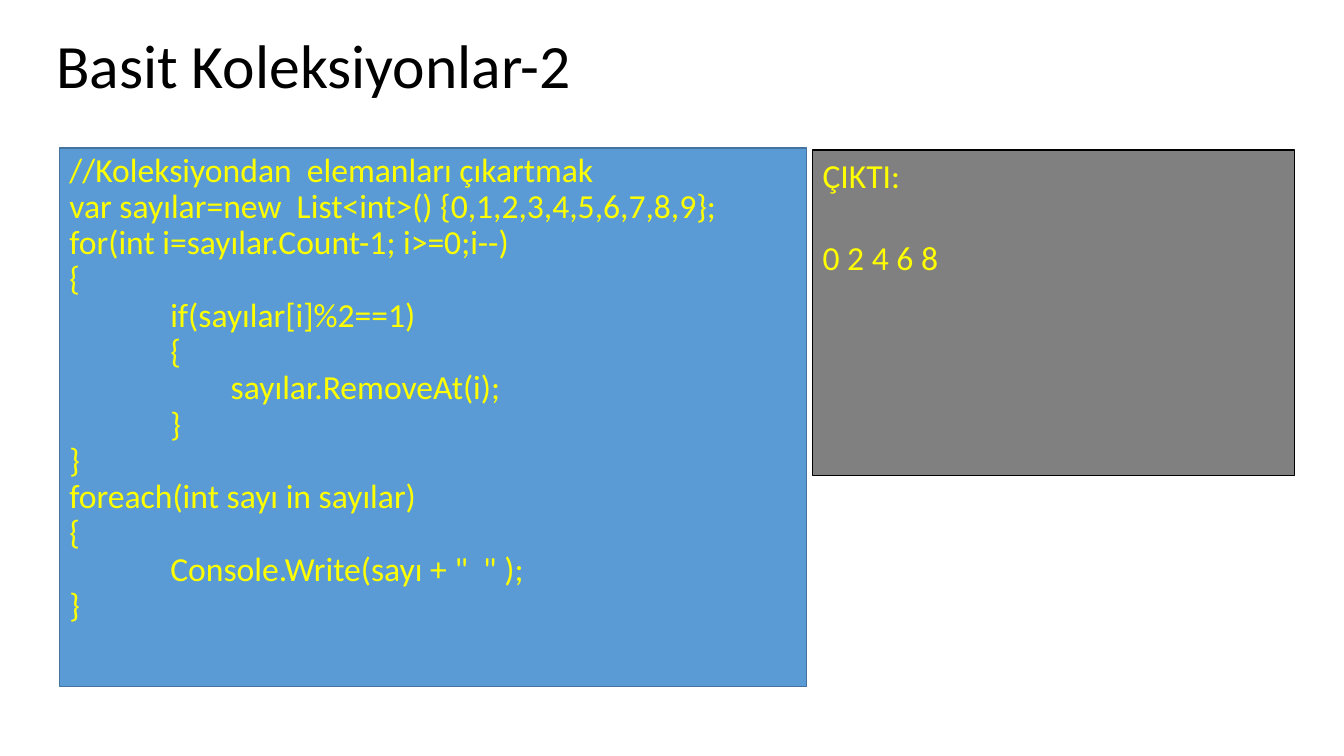
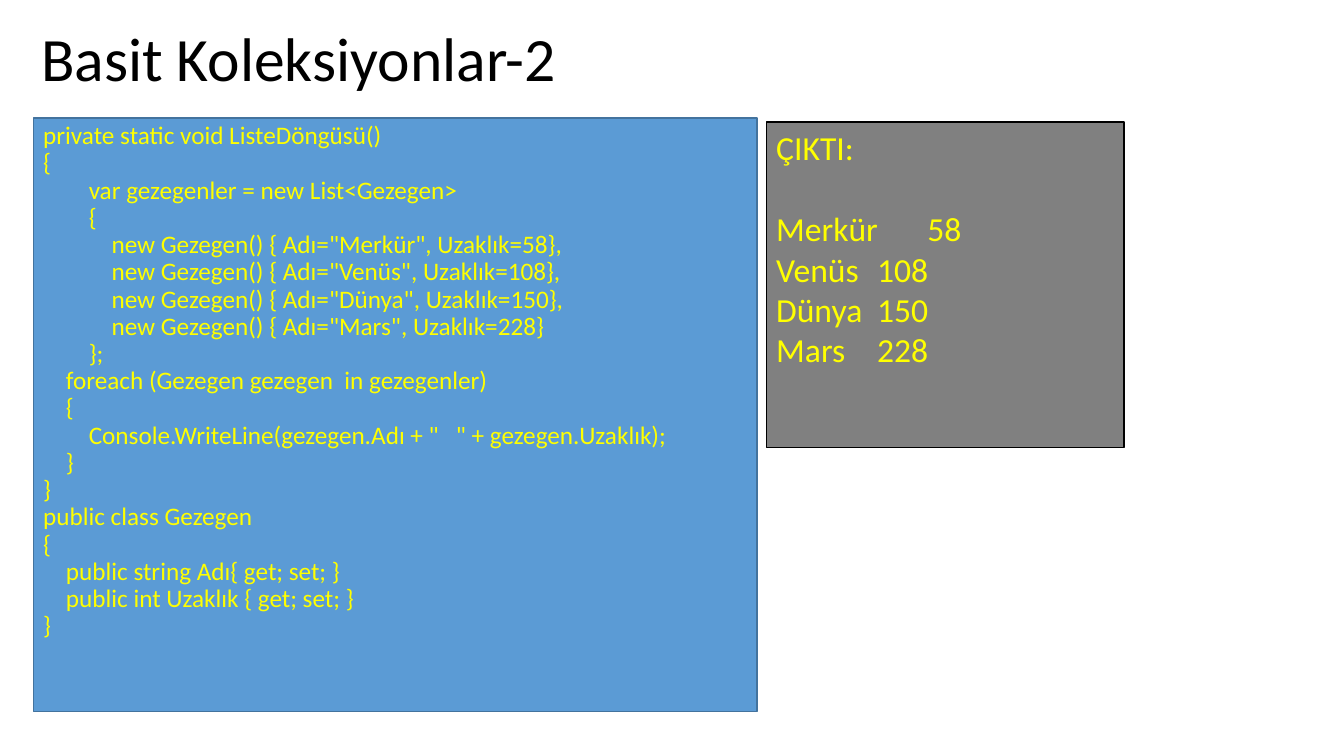
from dataclasses import dataclass
from lxml import etree
from pptx import Presentation
from pptx.dml.color import RGBColor
from pptx.enum import shapes, text
from pptx.oxml import ns
from pptx.util import Inches, Pt


@dataclass(frozen=True)
class Theme:
    font: str = "Calibri"
    ink: str = "000000"
    code_text: str = "FFFF00"
    code_fill: str = "5B9BD5"
    code_line: str = "43739E"
    output_fill: str = "808080"
    title_size: int = 44
    output_size: int = 24
    output_gap: float = 29.3
    tight: float = 0.9


theme = Theme()


def write(box, lines, size, color, spacing=1.0, anchor=text.MSO_ANCHOR.TOP,
          indents=(0,), tab=None, gap_after_first=0):
    frame = box.text_frame
    frame.word_wrap = True
    frame.vertical_anchor = anchor
    for number, (level, line) in enumerate(lines):
        para = frame.add_paragraph() if number else frame.paragraphs[0]
        para.alignment = text.PP_ALIGN.LEFT
        para.line_spacing = spacing
        para.space_before = Pt(gap_after_first if number == 1 else 0)
        properties = para._p.get_or_add_pPr()
        properties.set("marL", str(Inches(indents[level])))
        properties.set("indent", "0")
        if tab:
            stops = etree.SubElement(properties, ns.qn("a:tabLst"))
            etree.SubElement(stops, ns.qn("a:tab"), pos=str(Inches(tab)), algn="l")
        span = para.add_run()
        span.text = line
        span.font.name = theme.font
        span.font.size = Pt(size)
        span.font.color.rgb = RGBColor.from_string(color)


def add_panel(page, place, fill, line):
    box = page.shapes.add_shape(shapes.MSO_SHAPE.RECTANGLE, *map(Inches, place))
    box.shadow.inherit = False
    box.fill.solid()
    box.fill.fore_color.rgb = RGBColor.from_string(fill)
    box.line.color.rgb = RGBColor.from_string(line)
    box.line.width = Pt(1)
    return box


removal_code = [
    (0, "//Koleksiyondan  elemanları çıkartmak"),
    (0, "var sayılar=new  List<int>() {0,1,2,3,4,5,6,7,8,9};"),
    (0, "for(int i=sayılar.Count-1; i>=0;i--)"),
    (0, "{"),
    (1, "if(sayılar[i]%2==1)"),
    (1, "{"),
    (2, "sayılar.RemoveAt(i);"),
    (1, "}"),
    (0, "}"),
    (0, "foreach(int sayı in sayılar)"),
    (0, "{"),
    (1, 'Console.Write(sayı + "  " );'),
    (0, "}"),
]

planets = [("Merkür", 58), ("Venüs", 108), ("Dünya", 150), ("Mars", 228)]
planet_code = [
    (0, "private static void ListeDöngüsü()"),
    (0, "{"),
    (2, "var gezegenler = new List<Gezegen>"),
    (2, "{"),
    *[(3, f'new Gezegen() {{ Adı="{name}", Uzaklık={distance}}}'
          + ("" if name == planets[-1][0] else ","))
      for name, distance in planets],
    (2, "};"),
    (1, "foreach (Gezegen gezegen  in gezegenler)"),
    (1, "{"),
    (2, 'Console.WriteLine(gezegen.Adı + "   " + gezegen.Uzaklık);'),
    (1, "}"),
    (0, "}"),
    (0, "public class Gezegen"),
    (0, "{"),
    (1, "public string Adı{ get; set; }"),
    (1, "public int Uzaklık { get; set; }"),
    (0, "}"),
]

pages = [
    dict(title_at=(0.46, 0.21), code_at=(0.59, 1.47, 7.41, 5.34),
         output_at=(8.06, 1.49, 4.78, 3.23), code=removal_code, code_size=24,
         indents=(0, 1, 1.6), output=["0 2 4 6 8"], tab=None),
    dict(title_at=(0.31, 0.14), code_at=(0.33, 1.17, 7.18, 5.89),
         output_at=(7.6, 1.21, 3.55, 3.23), code=planet_code, code_size=18,
         indents=[0.226 * level for level in range(4)],
         output=[f"{name}\t{distance}" for name, distance in planets], tab=1.1),
]

deck = Presentation()
deck.slide_width = Inches(13.33)
deck.slide_height = Inches(7.5)

for content in pages:
    page = deck.slides.add_slide(deck.slide_layouts[6])
    title = page.shapes.add_textbox(*map(Inches, (*content["title_at"], 12.45, 0.94)))
    write(title, [(0, "Basit Koleksiyonlar-2")], theme.title_size, theme.ink,
          spacing=theme.tight, anchor=text.MSO_ANCHOR.MIDDLE)
    code = add_panel(page, content["code_at"], theme.code_fill, theme.code_line)
    write(code, content["code"], content["code_size"], theme.code_text,
          spacing=theme.tight, indents=content["indents"])
    output = add_panel(page, content["output_at"], theme.output_fill, theme.ink)
    write(output, [(0, line) for line in ["ÇIKTI:", *content["output"]]],
          theme.output_size, theme.code_text, tab=content["tab"],
          gap_after_first=theme.output_gap)

deck.save("out.pptx")
